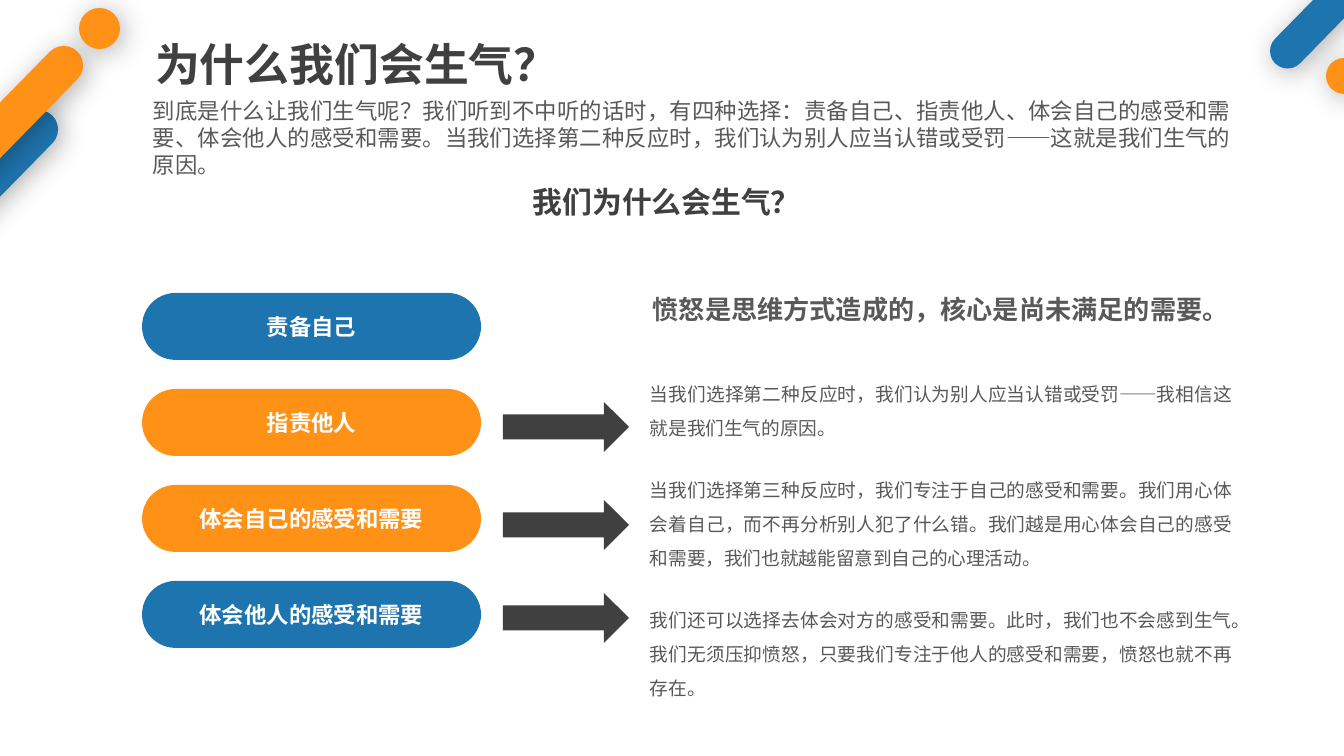
"""Build the slide on why we get angry: four responses and what each leads to."""
from lxml import etree
from pptx import Presentation
from pptx import util as u
from pptx.dml.color import RGBColor
from pptx.enum import lang, shapes, text
from pptx.oxml import ns

PX = 914400 / 134.4
BLUE, ORANGE, DARK, GREY, WHITE = "1E74AE", "FF9216", "404040", "595959", "FFFFFF"
KIND = shapes.MSO_SHAPE
ALIGN = text.PP_ALIGN


def add_figure(kind, box, color):
    shape = slide.shapes.add_shape(kind, *[u.Emu(round(v * PX)) for v in box])
    shape.shadow.inherit = False
    shape.fill.solid()
    shape.fill.fore_color.rgb = RGBColor.from_string(color)
    shape.line.fill.background()
    if kind == KIND.ROUNDED_RECTANGLE:
        shape.adjustments[0] = 0.5
    return shape


def write(shape, wording, size, color, align, bold=False, spacing=None, font="Calibri", **frame):
    for name, value in {"word_wrap": True, **frame}.items():
        setattr(shape.text_frame, name, value)
    paragraph = shape.text_frame.paragraphs[0]
    paragraph.alignment = align
    paragraph.line_spacing = spacing
    run = paragraph.add_run()
    run.text = wording
    style = {"size": u.Pt(size), "bold": bold, "name": font,
             "language_id": lang.MSO_LANGUAGE_ID.SIMPLIFIED_CHINESE}
    for name, value in style.items():
        setattr(run.font, name, value)
    run.font.color.rgb = RGBColor.from_string(color)


presentation = Presentation()
presentation.slide_width = u.Emu(round(1344 * PX))
presentation.slide_height = u.Emu(round(756 * PX))
slide = presentation.slides.add_slide(presentation.slide_layouts[6])

decorations = [
    (KIND.ROUNDED_RECTANGLE, (-47, 83, 39, 228), BLUE, 44.4),
    (KIND.ROUNDED_RECTANGLE, (1347, -155, 35, 255), BLUE, 44.4),
    (KIND.OVAL, (1326, 58, 36, 36), ORANGE, 0),
    (KIND.ROUNDED_RECTANGLE, (-22, 19, 39, 228), ORANGE, 44.4),
    (KIND.OVAL, (79, 8, 41, 41), ORANGE, 0),
]
for kind, box, color, rotation in decorations:
    shape = add_figure(kind, box, color)
    shape.rotation = rotation
    effects = shape.element.spPr.find(ns.qn("a:effectLst"))
    shadow = etree.SubElement(effects, ns.qn("a:outerShdw"), blurRad=str(u.Pt(15)),
                              dist=str(u.Pt(3)), dir="2700000", algn="tl", rotWithShape="0")
    shadow_color = etree.SubElement(shadow, ns.qn("a:srgbClr"), val="000000")
    etree.SubElement(shadow_color, ns.qn("a:alpha"), val="30000")

responses = [("责备自己", BLUE), ("指责他人", ORANGE),
             ("体会自己的感受和需要", ORANGE), ("体会他人的感受和需要", BLUE)]
for row, (wording, color) in enumerate(responses):
    pill = add_figure(KIND.ROUNDED_RECTANGLE, (142, 293 + 96 * row, 339, 67), color)
    write(pill, wording, 12, WHITE, ALIGN.CENTER, True, vertical_anchor=text.MSO_ANCHOR.MIDDLE)

for top in (402, 500, 593):
    add_figure(KIND.RIGHT_ARROW, (503, top, 126, 50), DARK)

title = slide.shapes.add_textbox(*[u.Emu(round(v * PX)) for v in (142, 30, 794, 67)])
write(title, "为什么我们会生气？", 24, DARK, ALIGN.LEFT, True, font="Noto Sans CJK SC",
      auto_size=text.MSO_AUTO_SIZE.SHAPE_TO_FIT_TEXT)

passages = [
    ((153, 97, 1079, 82), 12, GREY, ALIGN.JUSTIFY, False, None,
     "到底是什么让我们生气呢？我们听到不中听的话时，有四种选择：责备自己、指责他人、体会自己的感受和需要、"
     "体会他人的感受和需要。当我们选择第二种反应时，我们认为别人应当认错或受罚——这就是我们生气的原因。"),
    ((323, 184, 688, 36), 16, DARK, ALIGN.CENTER, True, None, "我们为什么会生气？"),
    ((650, 293, 582, 32), 14, GREY, ALIGN.CENTER, True, None,
     "愤怒是思维方式造成的，核心是尚未满足的需要。"),
    ((650, 372, 582, 65), 10, GREY, ALIGN.JUSTIFY, False, 1.5,
     "当我们选择第二种反应时，我们认为别人应当认错或受罚——我相信这就是我们生气的原因。"),
    ((650, 468, 582, 98), 10, GREY, ALIGN.JUSTIFY, False, 1.5,
     "当我们选择第三种反应时，我们专注于自己的感受和需要。我们用心体会着自己，而不再分析别人犯了什么错。"
     "我们越是用心体会自己的感受和需要，我们也就越能留意到自己的心理活动。"),
    ((650, 598, 582, 98), 10, GREY, ALIGN.JUSTIFY, False, 1.5,
     "我们还可以选择去体会对方的感受和需要。此时，我们也不会感到生气。我们无须压抑愤怒，"
     "只要我们专注于他人的感受和需要，愤怒也就不再存在。"),
]
for box, size, color, align, bold, spacing, wording in passages:
    passage = slide.shapes.add_textbox(*[u.Emu(round(v * PX)) for v in box])
    write(passage, wording, size, color, align, bold, spacing,
          margin_left=0, margin_top=0, margin_right=0, margin_bottom=0,
          auto_size=text.MSO_AUTO_SIZE.SHAPE_TO_FIT_TEXT)

presentation.save("out.pptx")
